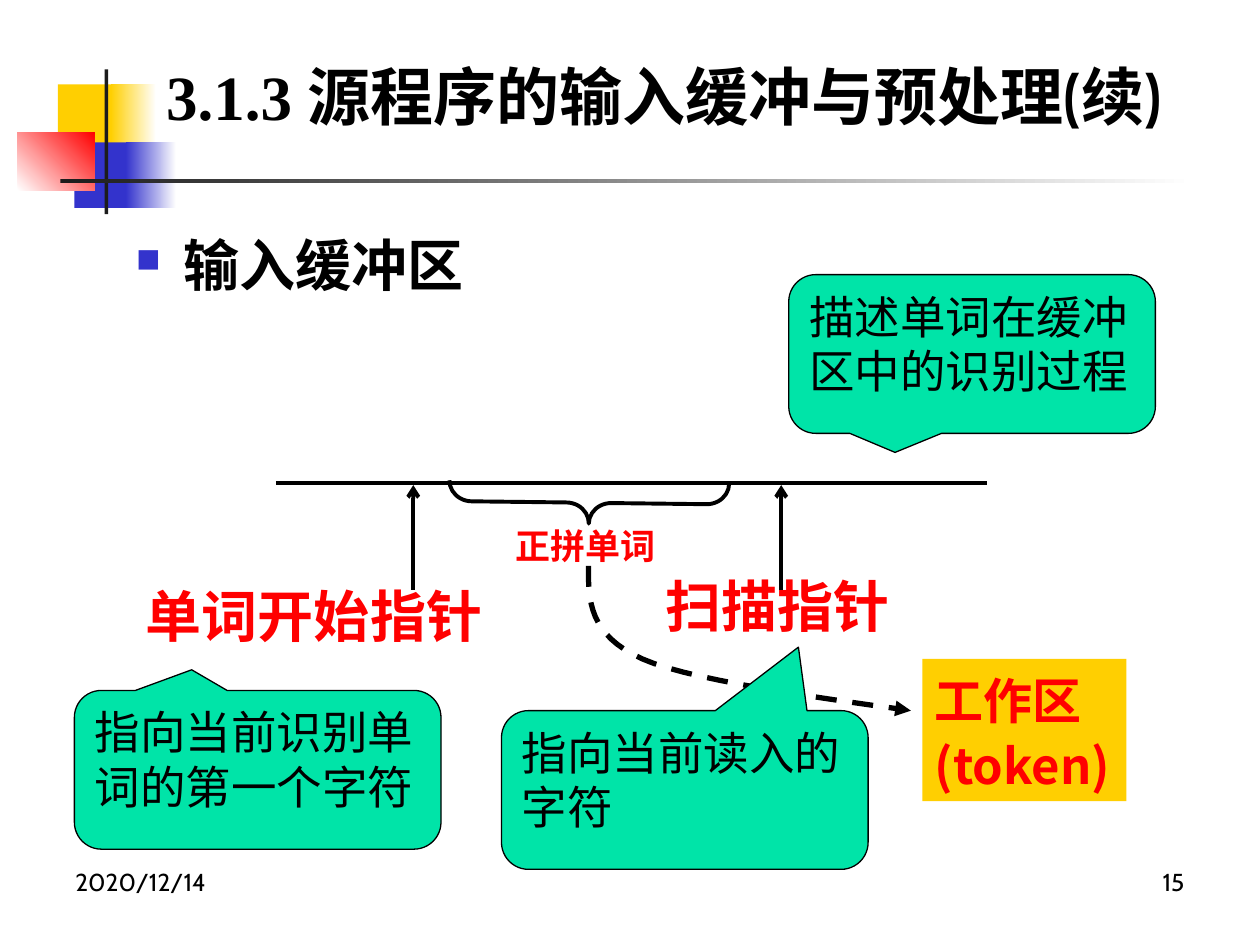
from lxml import etree
from pptx import Presentation
from pptx.dml.color import RGBColor
from pptx.enum.dml import MSO_LINE
from pptx.enum.shapes import MSO_CONNECTOR, MSO_SHAPE
from pptx.enum.text import MSO_ANCHOR, PP_ALIGN
from pptx.oxml.ns import qn
from pptx.util import Inches, Pt

RECTANGLE, BRACE = MSO_SHAPE.RECTANGLE, MSO_SHAPE.LEFT_BRACE
CALLOUT = MSO_SHAPE.ROUNDED_RECTANGULAR_CALLOUT
STRAIGHT, DASH = MSO_CONNECTOR.STRAIGHT, MSO_LINE.DASH
LEFT, RIGHT = PP_ALIGN.LEFT, PP_ALIGN.RIGHT
TOP, MIDDLE = MSO_ANCHOR.TOP, MSO_ANCHOR.MIDDLE

THEME = {
    "black": "000000", "white": "FFFFFF", "red": "FF0000", "blue": "3333CC",
    "yellow": "FFCF01", "charcoal": "1C1C1C", "green": "00E4A8",
    "sans": "Cabin", "serif": "Times New Roman", "chinese": "Noto Sans CJK SC",
    "title": 36, "body": 32, "pointer": 32, "work area": 28,
    "callout": 26, "word": 20, "footer": 14,
}

# box, start colour, end colour (None for a plain fill), gradient angle
DECORATIONS = [
    ((0.46, 0.67, 0.48, 0.52), "yellow", None, 0),
    ((0.88, 0.67, 0.36, 0.52), "yellow", "white", 0),
    ((0.59, 1.13, 0.46, 0.52), "blue", None, 0),
    ((1, 1.13, 0.4, 0.52), "blue", "white", 0),
    ((0.14, 1.05, 0.61, 0.46), "white", "red", 45),
    ((0.83, 0.55, 0.03, 1.15), "charcoal", None, 0),
    ((0.48, 1.42, 9, 0.03), "charcoal", "white", 0),
]
FOOTERS = [((0.5, 6.83, 2.33, 0.52), "2020/12/14", LEFT),
           ((7.17, 6.83, 2.33, 0.52), "15", RIGHT)]
TITLE = [("3.1.3 ", "serif"), ("源程序的输入缓冲与预处理(续)", "sans")]
TITLE_BOX = (1.22, 0.28, 8.66, 0.96)
HEADING, HEADING_BOX = "输入缓冲区", (0.98, 1.78, 8.81, 1.6)
LABELS = [
    ((1.06, 4.51, 2.95, 0.69), "单词开始指针", "pointer"),
    ((5.18, 4.43, 2, 0.69), "扫描指针", "pointer"),
    ((3.99, 4.08, 1.51, 0.47), "正拼单词", "word"),
]
WORK_AREA, WORK_AREA_BOX = "工作区(token)", (7.32, 5.23, 1.62, 1.13)
BUFFER_LEFT, BUFFER_RIGHT, BUFFER_Y = 2.19, 7.83, 3.83
POINTER_XS, POINTER_START, POINTER_END = (3.28, 6.2), 4.68, 3.85
BRACE_BOX, BRACE_ROTATION, BRACE_CURVE = (4.51, 2.88, 0.33, 2.22), 270.7, 0.54
TOKEN_CURVE = [
    [(4.67, 4.49), (4.67, 4.76), (4.67, 5.04), (5.1, 5.23)],
    [(5.1, 5.23), (5.52, 5.42), (6.89, 5.59), (7.23, 5.64)],
]
CURVE_STEPS = 16
CALLOUT_SIZE, CALLOUT_CORNER = (2.91, 1.26), 0.17
# position, text, pointer tip relative to the centre
CALLOUTS = [
    ((6.26, 2.18), "描述单词在缓冲区中的识别过程", (-0.21, 0.62)),
    ((0.59, 5.48), "指向当前识别单词的第一个字符", (-0.18, -0.63)),
    ((3.98, 5.64), "指向当前读入的字符", (0.31, -0.9)),
]


def color(name):
    return RGBColor.from_string(THEME[name])


def inches(values):
    return [Inches(value) for value in values]


def style_run(run, size, font="sans", ink="black", bold=False):
    run.font.size = Pt(THEME[size])
    run.font.name = THEME[font]
    run.font.bold = bold
    run.font.color.rgb = color(ink)
    east_asian = etree.SubElement(run.font._element, qn("a:ea"))
    east_asian.set("typeface", THEME["chinese"])


def write(shape, text, *style, align=LEFT, spacing=None, **options):
    """Fill a shape with one styled paragraph and return that paragraph."""
    frame = shape.text_frame
    frame.word_wrap = True
    frame.vertical_anchor = TOP
    frame.text = text
    paragraph = frame.paragraphs[0]
    paragraph.alignment = align
    paragraph.line_spacing = spacing
    style_run(paragraph.runs[0], *style, **options)
    return paragraph


def add_box(shapes, preset, box, fill=None, line_width=None):
    shape = shapes.add_shape(preset, *inches(box))
    shape.shadow.inherit = False
    if fill:
        shape.fill.solid()
        shape.fill.fore_color.rgb = color(fill)
    else:
        shape.fill.background()
    if line_width:
        style_line(shape, line_width)
    else:
        shape.line.fill.background()
    return shape


def add_text(shapes, box):
    return shapes.add_textbox(*inches(box))


def style_line(shape, width, arrowhead=None):
    shape.line.color.rgb = color("black")
    shape.line.width = Pt(width)
    if arrowhead:
        tail = etree.SubElement(shape.line._get_or_add_ln(), qn("a:tailEnd"))
        tail.set("type", arrowhead)


def add_line(shapes, start, end, arrowhead=None):
    line = shapes.add_connector(STRAIGHT, *inches(start + end))
    style_line(line, 2.25, arrowhead)
    etree.SubElement(line._element.spPr, qn("a:effectLst"))


def add_decorations(shapes):
    for box, start, end, angle in DECORATIONS:
        shape = add_box(shapes, RECTANGLE, box, start)
        if end:
            shape.fill.gradient()
            shape.fill.gradient_angle = angle
            for stop, name in zip(shape.fill.gradient_stops, (start, end)):
                stop.color.rgb = color(name)


def add_headings(shapes):
    for box, text, align in FOOTERS:
        write(add_text(shapes, box), text, "footer", align=align)

    (number, number_font), (name, name_font) = TITLE
    title = add_text(shapes, TITLE_BOX)
    paragraph = write(title, number, "title", number_font, bold=True)
    title.text_frame.vertical_anchor = MIDDLE
    run = paragraph.add_run()
    run.text = name
    style_run(run, "title", name_font, bold=True)

    paragraph = write(add_text(shapes, HEADING_BOX), HEADING, "body", bold=True)
    properties = paragraph._p.get_or_add_pPr()
    properties.set("marL", str(Inches(0.38)))
    properties.set("indent", str(-Inches(0.38)))
    bullet_color = etree.SubElement(properties, qn("a:buClr"))
    etree.SubElement(bullet_color, qn("a:srgbClr")).set("val", THEME["blue"])
    etree.SubElement(properties, qn("a:buSzPct")).set("val", "60000")
    etree.SubElement(properties, qn("a:buChar")).set("char", "■")


def bezier_point(controls, t):
    weights = ((1 - t) ** 3, 3 * t * (1 - t) ** 2, 3 * t ** 2 * (1 - t), t ** 3)
    return tuple(Inches(sum(weight * value for weight, value in zip(weights, axis)))
                 for axis in zip(*controls))


def add_token_curve(shapes):
    points = [bezier_point(segment, step / CURVE_STEPS)
              for segment in TOKEN_CURVE for step in range(1, CURVE_STEPS + 1)]
    builder = shapes.build_freeform(*inches(TOKEN_CURVE[0][0]))
    builder.add_line_segments(points, close=False)
    curve = builder.convert_to_shape()
    curve.shadow.inherit = False
    curve.fill.background()
    curve.line.dash_style = DASH
    style_line(curve, 3, "triangle")


def add_buffer_diagram(shapes):
    add_line(shapes, (BUFFER_LEFT, BUFFER_Y), (BUFFER_RIGHT, BUFFER_Y))
    work_area = add_box(shapes, RECTANGLE, WORK_AREA_BOX, "yellow")
    write(work_area, WORK_AREA, "work area", "chinese", "red", bold=True, spacing=1.1)
    add_token_curve(shapes)
    for x in POINTER_XS:
        add_line(shapes, (x, POINTER_START), (x, POINTER_END), "arrow")
    brace = add_box(shapes, BRACE, BRACE_BOX, line_width=2.25)
    brace.rotation = BRACE_ROTATION
    brace.adjustments[0] = BRACE_CURVE
    for box, text, size in LABELS:
        write(add_text(shapes, box), text, size, "serif", "red", bold=True, spacing=1.1)


def add_callouts(shapes):
    for position, text, tip in CALLOUTS:
        callout = add_box(shapes, CALLOUT, position + CALLOUT_SIZE, "green", 0.75)
        for index, value in enumerate((*tip, CALLOUT_CORNER)):
            callout.adjustments[index] = value
        write(callout, text, "callout")


def main():
    presentation = Presentation()
    presentation.slide_width, presentation.slide_height = Inches(10), Inches(7.5)
    slide = presentation.slides.add_slide(presentation.slide_layouts[6])
    for add_part in (add_decorations, add_headings, add_buffer_diagram, add_callouts):
        add_part(slide.shapes)
    presentation.save("out.pptx")


if __name__ == "__main__":
    main()
